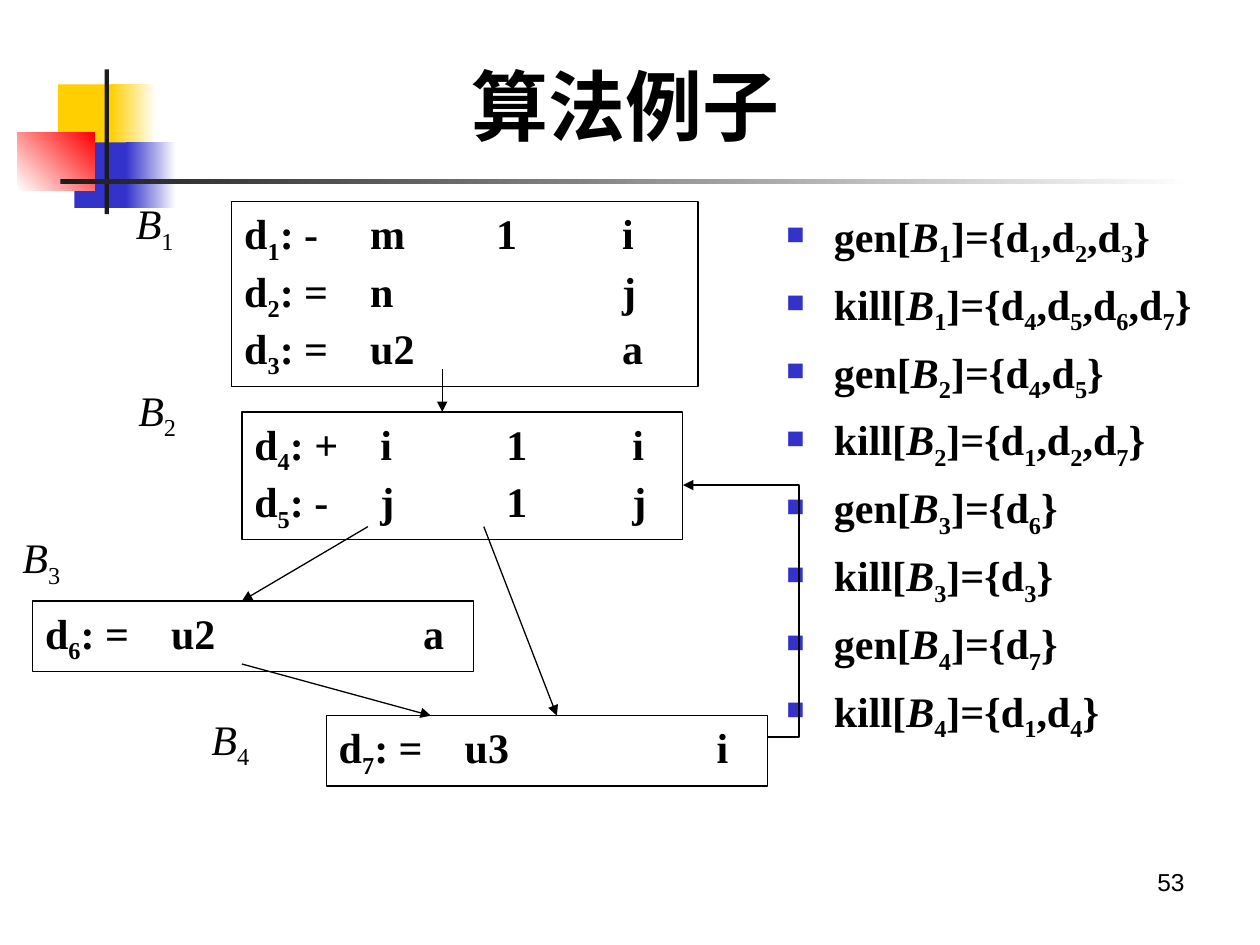
from itertools import groupby

from lxml import etree
from pptx import Presentation
from pptx.dml.color import RGBColor
from pptx.enum.shapes import MSO_CONNECTOR, MSO_SHAPE
from pptx.enum.text import MSO_ANCHOR, PP_ALIGN
from pptx.oxml.ns import qn
from pptx.util import Inches, Pt

RECTANGLE = MSO_SHAPE.RECTANGLE
STRAIGHT = MSO_CONNECTOR.STRAIGHT
LEFT, RIGHT = PP_ALIGN.LEFT, PP_ALIGN.RIGHT
TOP, MIDDLE = MSO_ANCHOR.TOP, MSO_ANCHOR.MIDDLE

COLUMNS, ROWS = 100, 75  # grid over the 10 x 7.5 inch slide
WIDTH, HEIGHT = Inches(10), Inches(7.5)
BLACK, WHITE, DARK = "000000", "FFFFFF", "1C1C1C"
YELLOW, BLUE, RED = "FFCF01", "3333CC", "FF0000"


def color(value):
    return RGBColor.from_string(value)


def add_element(parent, tag, **attributes):
    return etree.SubElement(parent, qn(tag), attributes)


def split_runs(text):
    """Yield (text, style): "_" lowers the next character, B is italic."""
    marked, lower = [], False
    for character in text:
        if character == "_":
            lower = True
            continue
        style = "lower" if lower else "italic" if character == "B" else "plain"
        marked.append((character, style))
        lower = False
    for style, group in groupby(marked, key=lambda pair: pair[1]):
        yield "".join(character for character, _ in group), style


def write_text(frame, lines, size=24, font="Times New Roman", bold=False, align=LEFT,
               anchor=TOP, bullet=None, tabs=(), space_before=0):
    frame.word_wrap = True
    frame.vertical_anchor = anchor
    for index, line in enumerate(lines):
        paragraph = frame.add_paragraph() if index else frame.paragraphs[0]
        properties = paragraph._p.get_or_add_pPr()
        if bullet:
            indent = Inches(0.38)
            properties.set("marL", str(indent))
            properties.set("indent", str(-indent))
            bullet_color = add_element(properties, "a:buClr")
            add_element(bullet_color, "a:srgbClr", val=BLUE)
            add_element(properties, "a:buSzPct", val="60000")
            add_element(properties, "a:buChar", char=bullet)
        if tabs:
            tab_list = add_element(properties, "a:tabLst")
            for position in tabs:
                add_element(tab_list, "a:tab", pos=str(Inches(position)), algn="l")
        paragraph.alignment = align
        if index and space_before:
            paragraph.space_before = Pt(space_before)
        for words, style in split_runs(line):
            run = paragraph.add_run()
            run.text = words
            run.font.name = font
            run.font.size = Pt(size)
            run.font.bold = bold
            run.font.italic = style == "italic"
            run.font.color.rgb = color(BLACK)
            if style == "lower":
                run.font._element.set("baseline", "-25000")


class SlideBuilder:
    line_color = BLACK
    line_width = Pt(0.75)

    def __init__(self, presentation):
        self.slide = presentation.slides.add_slide(presentation.slide_layouts[6])
        self.shapes = self.slide.shapes

    def place(self, *lengths):
        """Turn alternating columns and rows into slide lengths."""
        units = (WIDTH / COLUMNS, HEIGHT / ROWS)
        return [round(length * units[i % 2]) for i, length in enumerate(lengths)]

    def bar(self, area, first, last=None, angle=0):
        """Decorative rectangle, plain or fading from first to last."""
        shape = self.shapes.add_shape(RECTANGLE, *self.place(*area))
        shape.shadow.inherit = False
        shape.line.fill.background()
        if last is None:
            shape.fill.solid()
            shape.fill.fore_color.rgb = color(first)
            return
        shape.fill.gradient()
        shape.fill.gradient_angle = angle
        for stop, position, value in zip(shape.fill.gradient_stops, (0, 1), (first, last)):
            stop.position = position
            stop.color.rgb = color(value)

    def text(self, area, *lines, **style):
        write_text(self.shapes.add_textbox(*self.place(*area)).text_frame, lines, **style)

    def block(self, area, *lines):
        """Outlined basic block with tabbed instructions."""
        shape = self.shapes.add_shape(RECTANGLE, *self.place(*area))
        shape.shadow.inherit = False
        shape.fill.background()
        self.stroke(shape)
        write_text(shape.text_frame, lines, bold=True, tabs=(1, 2, 3))

    def stroke(self, shape, arrow=False):
        shape.line.color.rgb = color(self.line_color)
        shape.line.width = self.line_width
        if arrow:
            outline = shape.element.spPr.find(qn("a:ln"))
            add_element(outline, "a:tailEnd", type="triangle")

    def arrow(self, *ends):
        connector = self.shapes.add_connector(STRAIGHT, *self.place(*ends))
        self.stroke(connector, arrow=True)
        add_element(connector.element.spPr, "a:effectLst")

    def bent_arrow(self, *points):
        corners = [self.place(*point) for point in points]
        builder = self.shapes.build_freeform(*corners[0])
        builder.add_line_segments(corners[1:], close=False)
        shape = builder.convert_to_shape()
        shape.shadow.inherit = False
        shape.fill.background()
        self.stroke(shape, arrow=True)


def main():
    presentation = Presentation()
    presentation.slide_width, presentation.slide_height = WIDTH, HEIGHT
    builder = SlideBuilder(presentation)

    # Corner ornament and title rule
    builder.bar((4.6, 6.7, 4.8, 5.2), YELLOW)
    builder.bar((8.8, 6.7, 3.6, 5.2), YELLOW, WHITE)
    builder.bar((5.9, 11.3, 4.6, 5.2), BLUE)
    builder.bar((10, 11.3, 4, 5.2), BLUE, WHITE)
    builder.bar((1.4, 10.5, 6.1, 4.6), WHITE, RED, angle=45)
    builder.bar((8.3, 5.5, 0.35, 11.5), DARK)
    builder.bar((4.8, 14.2, 90, 0.4), DARK, WHITE)

    # Slide number and title
    builder.text((71.7, 68.3, 23.3, 5.2), "53", size=14, font="Arial", align=RIGHT)
    builder.text((36.4, 3.6, 28.5, 9.4), "算法例子", size=44, bold=True, anchor=MIDDLE)

    # Gen and kill sets of each block
    sets = [("1,2,3", "4,5,6,7"), ("4,5", "1,2,7"), ("6", "3"), ("7", "1,4")]
    lines = []
    for number, pair in enumerate(sets, start=1):
        for name, members in zip(("gen", "kill"), pair):
            definitions = ",".join(f"d_{member}" for member in members.split(","))
            lines.append(f"{name}[B_{number}]={{{definitions}}}")
    builder.text((61.4, 16.2, 37.4, 50.8), *lines, bold=True, bullet="■", space_before=6)

    # Basic blocks
    builder.block((18.4, 16, 37, 14.7),
                  "d_1: -\tm\t1\ti", "d_2: =\tn\t\tj", "d_3: =\tu2\t\ta")
    builder.block((19.2, 32.7, 35, 10.1), "d_4: +\ti\t1\ti", "d_5: -\tj\t1\tj")
    builder.block((2.6, 47.7, 35, 5.6), "d_6: =\tu2\t\ta")
    builder.block((25.9, 56.8, 35, 5.6), "d_7: =\tu3\t\ti")

    # Control flow
    builder.arrow(35.1, 29.3, 35.1, 32.7)
    builder.arrow(29.2, 41.8, 19.2, 47.7)
    builder.arrow(38.4, 41.8, 44.2, 56.8)
    builder.arrow(19.2, 52.7, 34.2, 56.8)
    builder.bent_arrow((60.9, 58.5), (63.4, 58.5), (63.4, 38.5), (54.2, 38.5))

    # Block names
    corners = [(9.8, 15.2), (10, 30), (0.8, 41.7), (15.8, 56.1)]
    for number, corner in enumerate(corners, start=1):
        builder.text((*corner, 6.7, 5.6), f"B_{number}")

    presentation.save("out.pptx")


if __name__ == "__main__":
    main()
